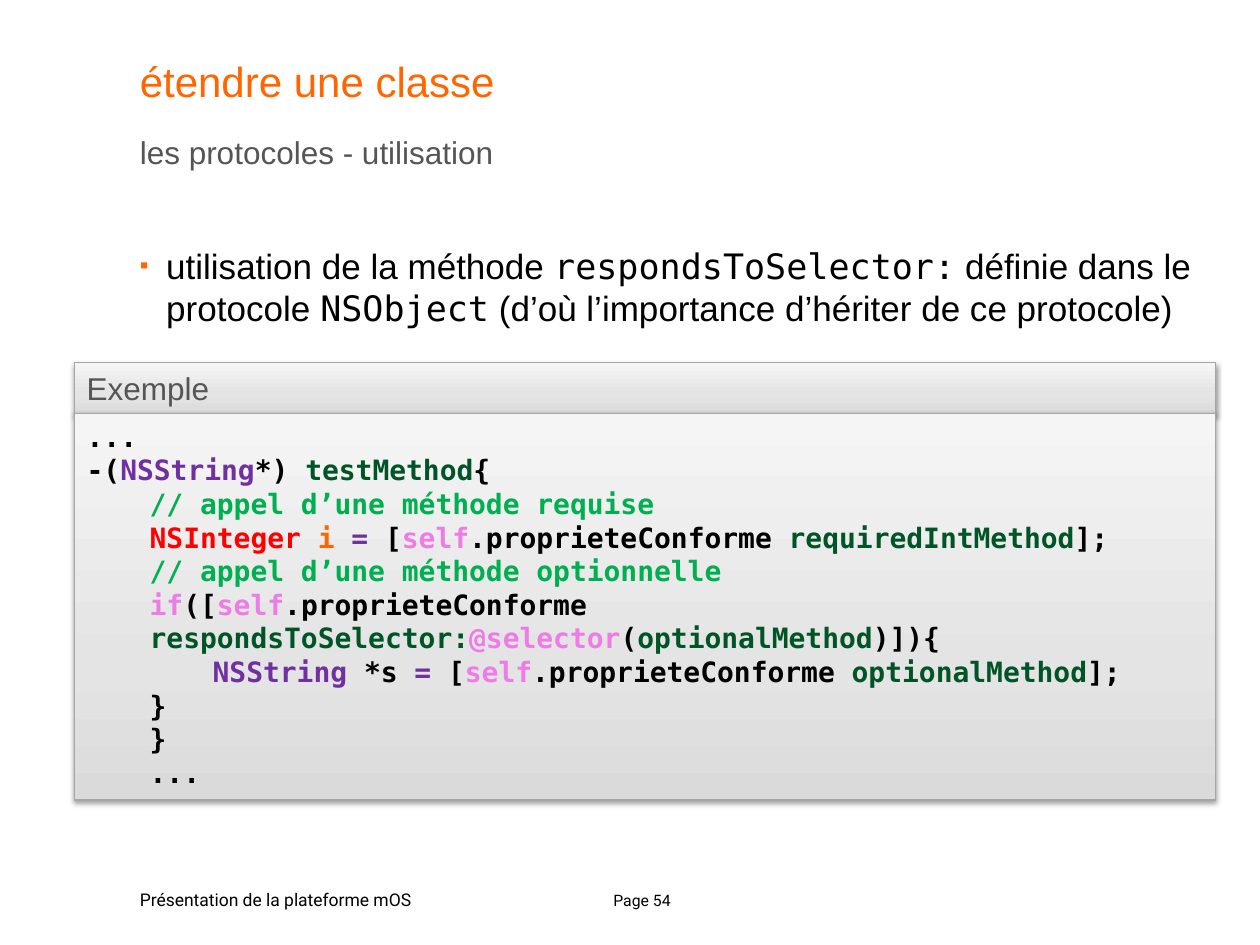
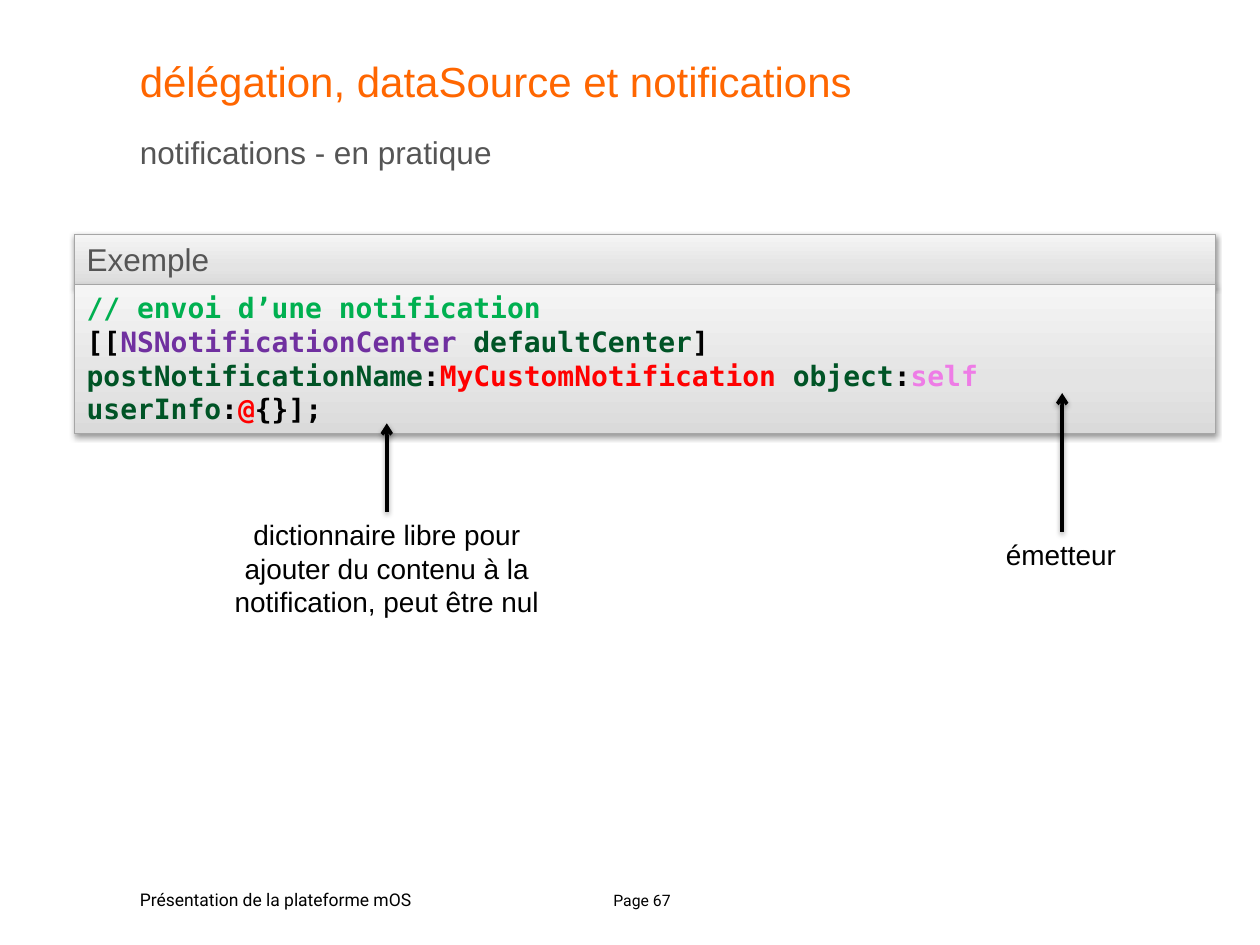
from lxml import etree
from pptx import Presentation
from pptx.dml.color import RGBColor
from pptx.enum import shapes, text
from pptx.oxml import ns
from pptx.util import Inches, Pt

SANS, MONO, FOOTER_FACE = "Arial", "DejaVu Sans Mono", "Roboto"
ORANGE, GREY, BLACK = "FF6600", "555555", "000000"
BORDER = "A6A6A6"
PANEL_STOPS = [(0, "DADADA"), (35, "E4E4E4"), (100, "F5F5F5")]
TYPE, METHOD, COMMENT = "7030A0", "005426", "00B050"
KEYWORD, RED = "EE7CE6", "FF0000"
LEFT, WIDTH = 1.11, 8.54
HEADER_HEIGHT = 0.4

PROTOCOL_CODE = [
    (0, [("...", BLACK)]),
    (0, [("-(", BLACK), ("NSString", TYPE), ("*) ", BLACK),
         ("testMethod", METHOD), ("{", BLACK)]),
    (1, [("// appel d’une méthode requise", COMMENT)]),
    (1, [("NSInteger ", RED), ("i", ORANGE), (" = ", TYPE), ("[", BLACK),
         ("self", KEYWORD), (".proprieteConforme ", BLACK),
         ("requiredIntMethod", METHOD), ("];", BLACK)]),
    (1, [("// appel d’une méthode optionnelle", COMMENT)]),
    (1, [("if", KEYWORD), ("([", BLACK), ("self", KEYWORD),
         (".proprieteConforme ", BLACK), ("respondsToSelector:", METHOD),
         ("@selector", KEYWORD), ("(", BLACK), ("optionalMethod", METHOD),
         (")]){", BLACK)]),
    (2, [("NSString ", TYPE), ("*s", BLACK), (" = ", TYPE), ("[", BLACK),
         ("self", KEYWORD), (".proprieteConforme ", BLACK),
         ("optionalMethod", METHOD), ("];", BLACK)]),
    (1, [("}", BLACK)]),
    (1, [("}", BLACK)]),
    (1, [("...", BLACK)]),
]

NOTIFICATION_CODE = [
    (0, [("// envoi d’une notification", COMMENT)]),
    (0, [("[[", BLACK), ("NSNotificationCenter ", TYPE),
         ("defaultCenter", METHOD), ("] \t", BLACK),
         ("postNotificationName", METHOD), (":", BLACK),
         ("MyCustomNotification ", RED), ("object", METHOD), (":", BLACK),
         ("self \t", KEYWORD), ("userInfo", METHOD), (":", BLACK),
         ("@", RED), ("{}];", BLACK)]),
]


def rgb(value):
    return RGBColor.from_string(value)


def add_element(parent, tag, **attributes):
    element = etree.SubElement(parent, ns.qn(tag))
    for key, value in attributes.items():
        element.set(key, str(value))
    return element


def add_shadow(part):
    effects = add_element(part._element.spPr, "a:effectLst")
    shadow = add_element(effects, "a:outerShdw", blurRad=Pt(3.1), dist=Pt(1.6),
                         dir=90 * 60000, rotWithShape=0)
    tint = add_element(shadow, "a:srgbClr", val=BLACK)
    add_element(tint, "a:alpha", val=38000)


def style_paragraph(paragraph, size, face=None, colour=None, bold=None):
    paragraph.line_spacing = Pt(size * 1.2)
    font = paragraph.font
    font.size = Pt(size)
    font.bold = bold
    if face:
        font.name = face
    if colour:
        font.color.rgb = rgb(colour)


def add_text(slide, box, words, size, face=SANS, colour=BLACK, margins=(0, 0),
             align=text.PP_ALIGN.LEFT, wrap=True):
    frame = slide.shapes.add_textbox(*map(Inches, box)).text_frame
    frame.word_wrap = wrap
    frame.margin_left = frame.margin_right = Inches(margins[0])
    frame.margin_top = frame.margin_bottom = Inches(margins[1])
    paragraph = frame.paragraphs[0]
    paragraph.text = words
    paragraph.alignment = align
    style_paragraph(paragraph, size, face, colour)
    return paragraph


def add_frame(slide, title, subtitle, page):
    add_text(slide, (4.69, 7.02, 0.81, 0.24), f"Page {page}", 9, FOOTER_FACE,
             margins=(0.1, 0.05), align=text.PP_ALIGN.CENTER)
    add_text(slide, (LEFT, 7.01, 2.72, 0.24), "Présentation de la plateforme mOS",
             10, FOOTER_FACE, margins=(0, 0.05), wrap=False)
    add_text(slide, (LEFT, 0.44, WIDTH, 0.54), title, 24, colour=ORANGE)
    add_text(slide, (LEFT, 1.06, WIDTH, 0.33), subtitle, 18, colour=GREY)


def add_bullet(slide, box, pieces):
    paragraph = add_text(slide, box, "", 20, face=None)
    properties = paragraph._p.get_or_add_pPr()
    properties.set("marL", str(Inches(0.21)))
    properties.set("indent", str(-Inches(0.21)))
    defaults = properties.find(ns.qn("a:defRPr"))
    properties.remove(defaults)
    add_element(add_element(properties, "a:buClr"), "a:srgbClr", val=ORANGE)
    add_element(properties, "a:buSzPct", val=70000)
    add_element(properties, "a:buFont", typeface=SANS)
    add_element(properties, "a:buChar", char="▪")
    properties.append(defaults)
    for words, face in pieces:
        run = paragraph.add_run()
        run.text = words
        run.font.name = face


def add_panel(slide, box):
    panel = slide.shapes.add_shape(shapes.MSO_SHAPE.RECTANGLE, *map(Inches, box))
    panel.fill.gradient()
    panel.fill.gradient_angle = 90
    stops = panel._element.spPr.find(".//" + ns.qn("a:gsLst"))
    for stop in list(stops):
        stops.remove(stop)
    for position, colour in PANEL_STOPS:
        stop = add_element(stops, "a:gs", pos=position * 1000)
        add_element(stop, "a:srgbClr", val=colour)
    panel.line.color.rgb = rgb(BORDER)
    panel.line.width = Pt(0.75)
    add_shadow(panel)
    frame = panel.text_frame
    frame.word_wrap = True
    frame.vertical_anchor = text.MSO_ANCHOR.TOP
    return frame


def add_example(slide, box, code):
    left, top, width, height = box
    heading = add_panel(slide, (left, top, width, HEADER_HEIGHT)).paragraphs[0]
    heading.text = "Exemple"
    heading.alignment = text.PP_ALIGN.LEFT
    style_paragraph(heading, 18, SANS, GREY)

    listing = add_panel(slide, (left, top + HEADER_HEIGHT, width,
                                height - HEADER_HEIGHT))
    for number, (depth, tokens) in enumerate(code):
        line = listing.add_paragraph() if number else listing.paragraphs[0]
        line.alignment = text.PP_ALIGN.LEFT
        line._p.get_or_add_pPr().set("marL", str(Inches(0.5 * depth)))
        style_paragraph(line, 16, MONO, bold=True)
        for words, colour in tokens:
            run = line.add_run()
            run.text = words
            run.font.color.rgb = rgb(colour)


def add_callout(slide, box, words, arrow_x, arrow_tip):
    add_text(slide, box, words, 16, margins=(0.1, 0.05),
             align=text.PP_ALIGN.CENTER)
    arrow = slide.shapes.add_connector(
        shapes.MSO_CONNECTOR.STRAIGHT,
        *map(Inches, (arrow_x, box[1], arrow_x, arrow_tip)))
    arrow.line.color.rgb = rgb(BLACK)
    arrow.line.width = Pt(2)
    add_element(arrow.line._get_or_add_ln(), "a:tailEnd", type="arrow")
    add_shadow(arrow)


def build_protocol_slide(slide):
    add_frame(slide, "étendre une classe", "les protocoles - utilisation", 54)
    add_bullet(slide, (LEFT, 1.94, WIDTH, 4.88), [
        ("utilisation de la méthode ", SANS),
        ("respondsToSelector:", MONO),
        (" définie dans le protocole ", SANS),
        ("NSObject", MONO),
        (" (d’où l’importance d’hériter de ce protocole)", SANS),
    ])
    add_example(slide, (0.59, 2.88, 9.06, 3.47), PROTOCOL_CODE)


def build_notification_slide(slide):
    add_frame(slide, "délégation, dataSource et notifications",
              "notifications - en pratique", 67)
    add_example(slide, (0.59, 1.86, 9.06, 1.58), NOTIFICATION_CODE)
    add_callout(slide, (1.69, 4.06, 2.76, 0.91),
                "dictionnaire libre pour ajouter du contenu à la notification, "
                "peut être nul", 3.07, 3.36)
    add_callout(slide, (7.83, 4.22, 1.18, 0.37), "émetteur", 8.43, 3.12)


def main():
    deck = Presentation()
    deck.slide_width, deck.slide_height = Inches(10), Inches(7.5)
    for build in (build_protocol_slide, build_notification_slide):
        build(deck.slides.add_slide(deck.slide_layouts[6]))
    deck.save("out.pptx")


if __name__ == "__main__":
    main()
